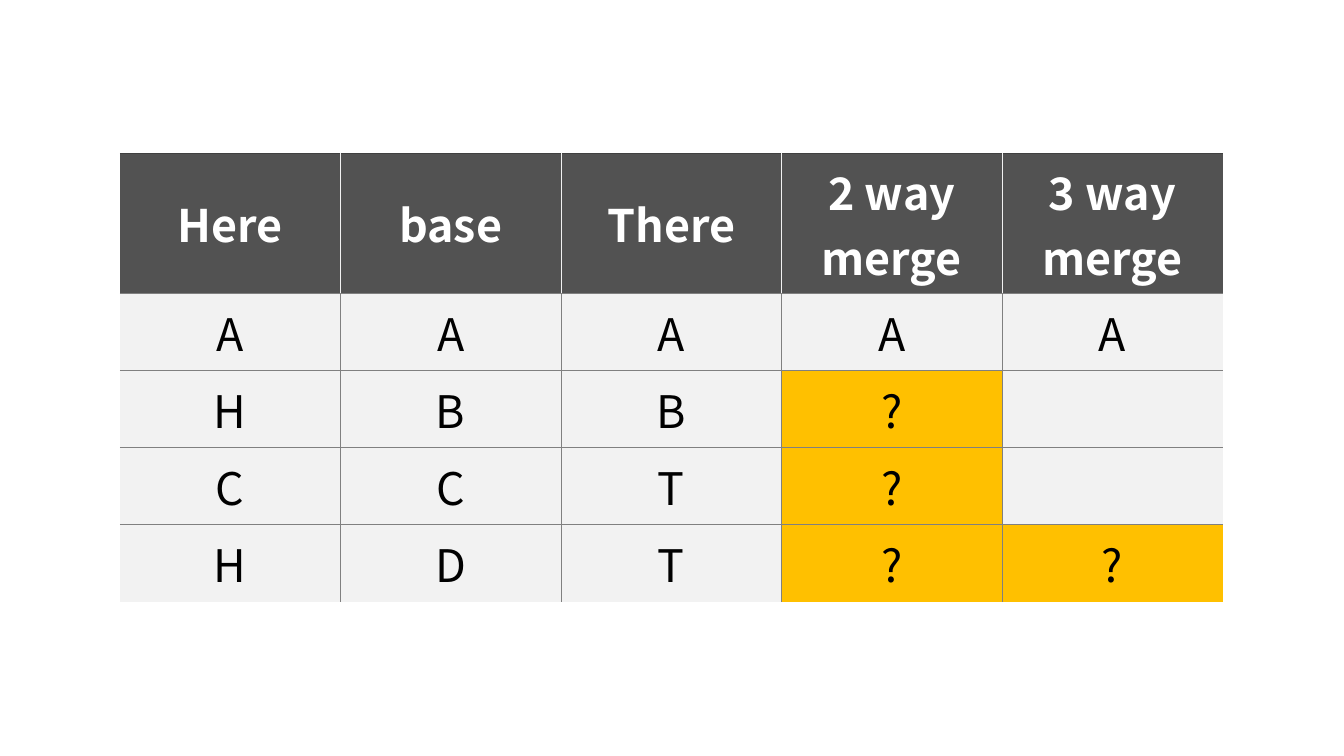
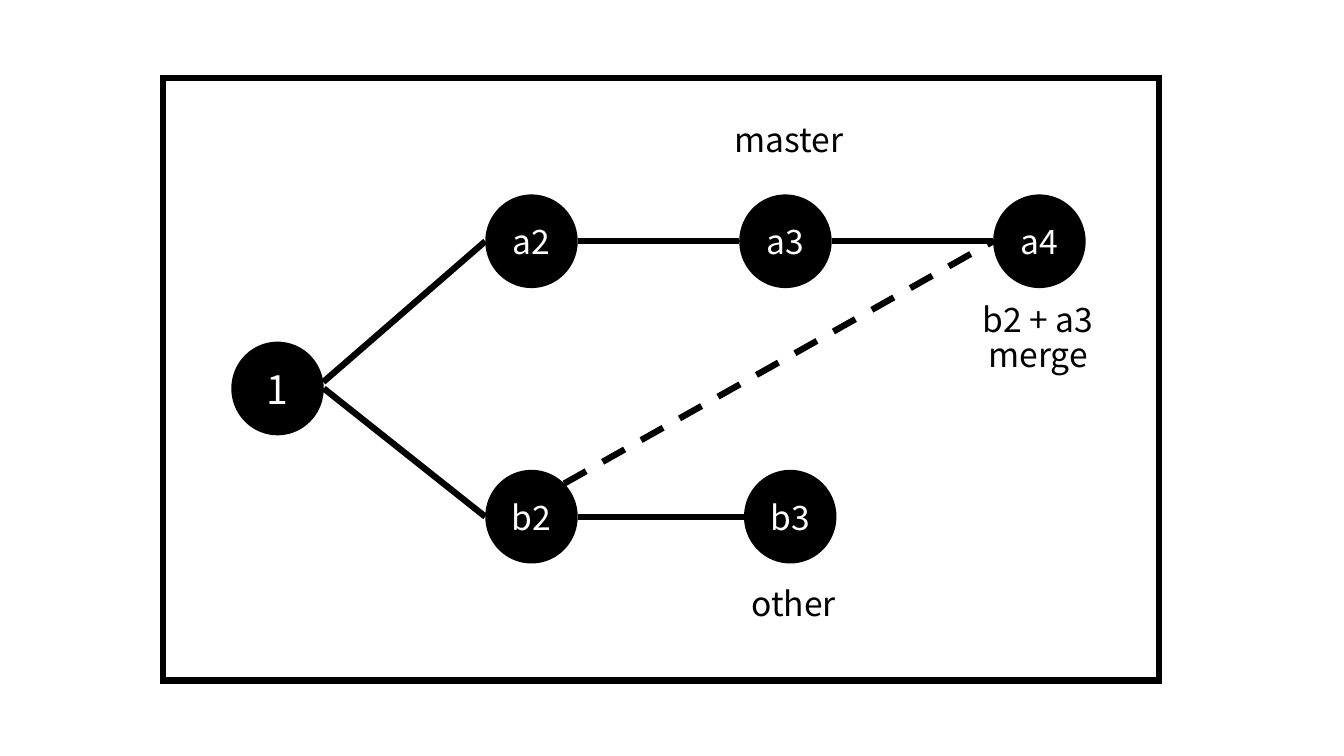
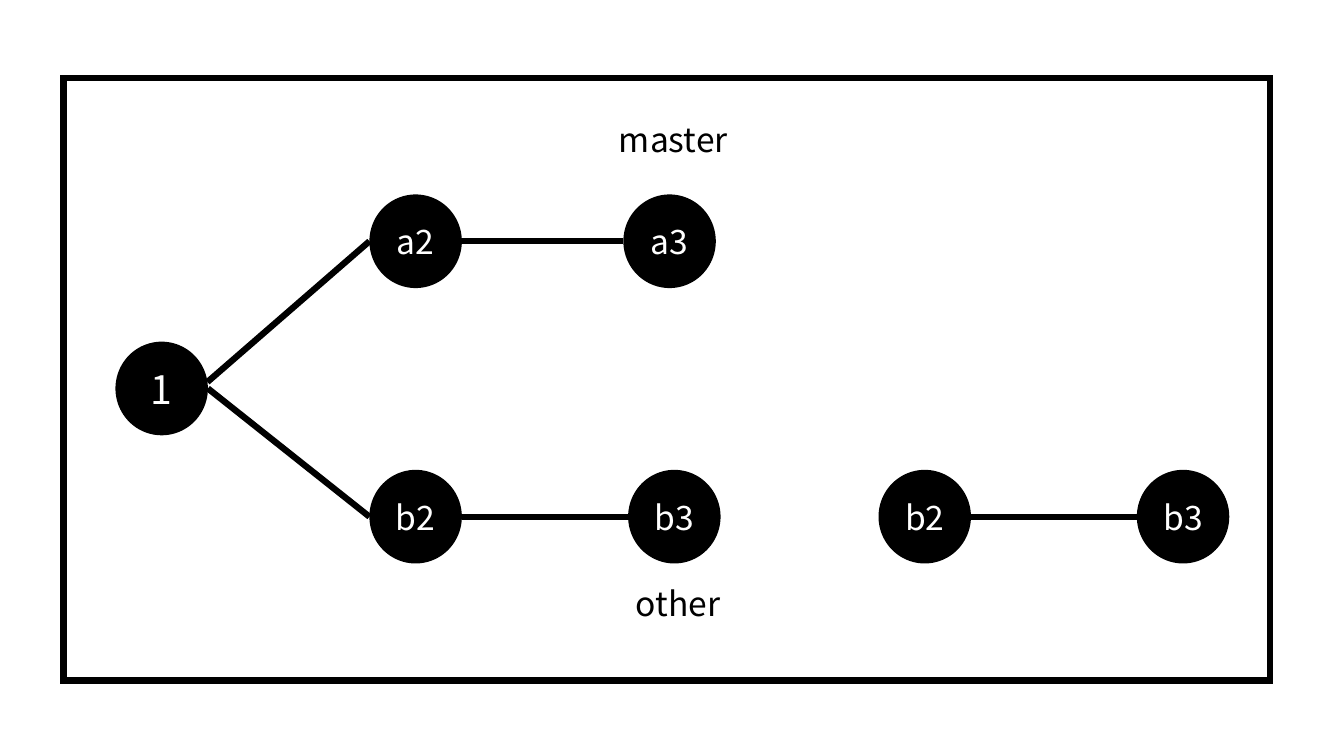
"""Build three slides on merging: a comparison table and two commit graphs."""
from math import cos, radians, sin

from lxml import etree
from pptx import Presentation
from pptx.dml.color import RGBColor
from pptx.enum.dml import MSO_LINE
from pptx.enum.shapes import MSO_CONNECTOR, MSO_SHAPE
from pptx.enum.text import MSO_ANCHOR, PP_ALIGN
from pptx.oxml.ns import qn
from pptx.util import Cm, Pt

CENTER = PP_ALIGN.CENTER
MIDDLE = MSO_ANCHOR.MIDDLE
ELLIPSE = MSO_SHAPE.OVAL
RECTANGLE = MSO_SHAPE.RECTANGLE
STRAIGHT = MSO_CONNECTOR.STRAIGHT
DASH = MSO_LINE.DASH

BLACK = RGBColor(0x00, 0x00, 0x00)
WHITE = RGBColor(0xFF, 0xFF, 0xFF)
HEADER = RGBColor(0x52, 0x52, 0x52)
HEADER_EDGE = RGBColor(0x40, 0x40, 0x40)
GRID = RGBColor(0x80, 0x80, 0x80)
LIGHT = RGBColor(0xF2, 0xF2, 0xF2)
CONFLICT = RGBColor(0xFF, 0xC0, 0x00)
FONT = "Noto Sans CJK KR"
STROKE = Pt(4.5)


def write(paragraph, text, size, color, bold=False):
    paragraph.alignment = CENTER
    span = paragraph.add_run()
    span.text = text
    span.font.name = FONT
    span.font.size = Pt(size)
    span.font.bold = bold
    span.font.color.rgb = color


def set_border(cell, position, side, color, width):
    line = etree.Element(qn("a:ln" + side), w=str(Pt(width)))
    if color is None:
        etree.SubElement(line, qn("a:noFill"))
    else:
        fill = etree.SubElement(line, qn("a:solidFill"))
        etree.SubElement(fill, qn("a:srgbClr"), val=str(color))
    cell._tc.get_or_add_tcPr().insert(position, line)


deck = Presentation()
deck.slide_width = Cm(33.87)
deck.slide_height = Cm(19.05)
blank = deck.slide_layouts[6]

ROWS = [
    ["Here", "base", "There", "2 way merge", "3 way merge"],
    ["A", "A", "A", "A", "A"],
    ["H", "B", "B", "?", ""],
    ["C", "C", "T", "?", ""],
    ["H", "D", "T", "?", "?"],
]
last_row = len(ROWS) - 1
last_column = len(ROWS[0]) - 1

page = deck.slides.add_slide(blank)
table = page.shapes.add_table(
    len(ROWS), len(ROWS[0]), Cm(3.02), Cm(3.86), Cm(27.8), Cm(11.3)
).table
for column in table.columns:
    column.width = Cm(5.56)
for r, texts in enumerate(ROWS):
    table.rows[r].height = Cm(3.54 if r == 0 else 1.94)
    for c, text in enumerate(texts):
        cell = table.cell(r, c)
        cell.vertical_anchor = MIDDLE
        cell.fill.solid()
        base_fill = HEADER if r == 0 else LIGHT
        cell.fill.fore_color.rgb = CONFLICT if text == "?" else base_fill
        if text:
            color = WHITE if r == 0 else BLACK
            write(cell.text_frame.paragraphs[0], text, 32, color, r == 0)
        upright = LIGHT if r == 0 else GRID
        borders = [
            ("L", upright if c > 0 else None, 0.5),
            ("R", upright if c < last_column else None, 0.5),
            ("T", HEADER_EDGE if r == 0 else GRID, 1 if r == 0 else 0.5),
            ("B", GRID if r < last_row else None, 0.5),
        ]
        for position, (side, color, width) in enumerate(borders):
            set_border(cell, position, side, color, width)

NODE_WIDTH, NODE_HEIGHT = 2.33, 2.36
MASTER_TOP, ROOT_TOP, OTHER_TOP = 4.9, 8.61, 11.84
STEP = 6.4
COMMITS = {
    "root": ("1", 0, ROOT_TOP),
    "a2": ("a2", STEP, MASTER_TOP),
    "a3": ("a3", 2 * STEP, MASTER_TOP),
    "b2": ("b2", STEP, OTHER_TOP),
    "b3": ("b3", 12.92, OTHER_TOP),
}
LINKS = [
    ("root", "a2", 8, False),
    ("root", "b2", 0, False),
    ("a2", "a3", 0, False),
    ("b2", "b3", 0, False),
]
LABELS = [
    (["master"], 12.14, 3.02, 3.84, 1.27),
    (["other"], 12.51, 14.73, 3.33, 1.27),
]
GRAPHS = [
    {
        "left": 5.83,
        "frame": (4.11, 25.1),
        "commits": {"a4": ("a4", 3 * STEP, MASTER_TOP)},
        "links": [("a3", "a4", 0, False), ("b2", "a4", 45, True)],
        "labels": [(["b2 + a3", "merge"], 18.41, 7.57, 3.84, 2.31)],
    },
    {
        "left": 2.91,
        "frame": (1.6, 30.4),
        "commits": {
            "copied b2": ("b2", 19.23, OTHER_TOP),
            "copied b3": ("b3", 25.74, OTHER_TOP),
        },
        "links": [("copied b2", "copied b3", 0, False)],
        "labels": [],
    },
]

for graph in GRAPHS:
    page = deck.slides.add_slide(blank)
    shapes = page.shapes.add_group_shape().shapes
    origin = graph["left"]
    commits = COMMITS | graph["commits"]

    for start, end, angle, dashed in LINKS + graph["links"]:
        start_text, start_left, start_top = commits[start]
        end_text, end_left, end_top = commits[end]
        reach = NODE_WIDTH / 2 * (1 + cos(radians(angle)))
        drop = NODE_HEIGHT / 2 * (1 - sin(radians(angle)))
        link = shapes.add_connector(
            STRAIGHT,
            Cm(origin + start_left + reach),
            Cm(start_top + drop),
            Cm(origin + end_left),
            Cm(end_top + NODE_HEIGHT / 2),
        )
        link.line.color.rgb = BLACK
        link.line.width = STROKE
        if dashed:
            link.line.dash_style = DASH
        etree.SubElement(link._element.spPr, qn("a:effectLst"))

    for text, left, top in commits.values():
        node = shapes.add_shape(
            ELLIPSE, Cm(origin + left), Cm(top), Cm(NODE_WIDTH), Cm(NODE_HEIGHT)
        )
        node.shadow.inherit = False
        node.fill.solid()
        node.fill.fore_color.rgb = BLACK
        node.line.fill.background()
        frame = node.text_frame
        frame.margin_left = frame.margin_right = 0
        frame.vertical_anchor = MIDDLE
        write(frame.paragraphs[0], text, 28 if text == "1" else 24, WHITE)

    for lines, left, top, width, height in LABELS + graph["labels"]:
        box = shapes.add_textbox(Cm(origin + left), Cm(top), Cm(width), Cm(height))
        frame = box.text_frame
        frame.word_wrap = True
        for i, text in enumerate(lines):
            para = frame.add_paragraph() if i else frame.paragraphs[0]
            para.line_spacing = 0.85
            write(para, text, 24, BLACK)

    left, width = graph["frame"]
    border = shapes.add_shape(RECTANGLE, Cm(left), Cm(1.96), Cm(width), Cm(15.19))
    border.shadow.inherit = False
    border.fill.background()
    border.line.color.rgb = BLACK
    border.line.width = STROKE
    outline = border._element.spPr.find(qn("a:ln"))
    etree.SubElement(outline, qn("a:miter"), lim="800000")

deck.save("out.pptx")
